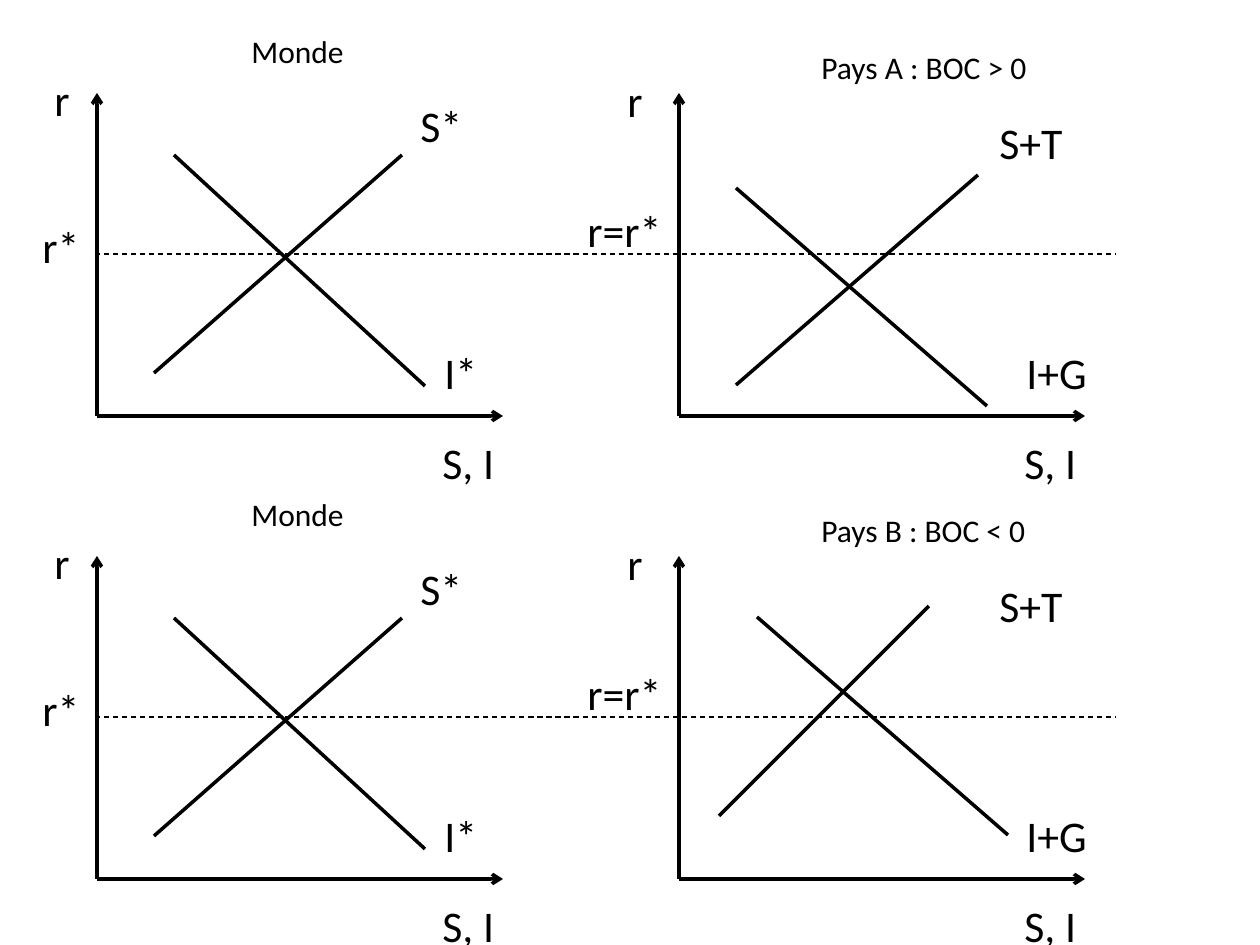
from lxml import etree
from pptx import Presentation
from pptx import util as u
from pptx.dml.color import RGBColor
from pptx.enum import dml, shapes, text
from pptx.oxml.ns import qn

BLACK = RGBColor(0, 0, 0)
PX = 914400 / 126
BIG, SMALL = 25, 18
ROW_STEP = 463      # from the upper pair of graphs to the lower one
COUNTRY_X = 582     # from the world axes to the country axes

# Axes (from, to) and labels (text, left, top, width) in the upper row
AXES = [(97, 416, 97, 93), (97, 416, 503, 416)]
AXIS_LABEL = ("S, I", 430, 430, 78)
RATE_LINE = (95, 254, 1116, 254)
WORLD_CURVES = [(174, 155, 425, 386), (402, 155, 154, 373)]
LABELS = [
    ("S*", 408, 93, 68), ("I*", 432, 340, 58), ("r", 42, 67, 40),
    ("r*", 30, 214, 63), ("S+T", 987, 110, 89), ("I+G", 1014, 340, 87),
    ("r", 615, 68, 40), ("r=r*", 575, 198, 101),
]
WORLD_TITLE = ("Monde", 239, 26, 118)

# One row per country; curves are relative to the row
ROWS = [
    {"title": "Pays A : BOC > 0",
     "curves": [(736, 188, 987, 406), (978, 175, 736, 385)]},
    {"title": "Pays B : BOC < 0",
     "curves": [(757, 154, 1008, 372), (929, 143, 719, 353)]},
]


def px(n):
    return u.Emu(round(n * PX))


def add_line(points, dx, dy, width=2, arrow=False, dash=False):
    x1, y1, x2, y2 = points
    line = s.shapes.add_connector(
        shapes.MSO_CONNECTOR.STRAIGHT,
        px(x1 + dx), px(y1 + dy), px(x2 + dx), px(y2 + dy))
    line.line.color.rgb = BLACK
    line.line.width = u.Pt(width)
    if dash:
        line.line.dash_style = dml.MSO_LINE.DASH
    if arrow:
        etree.SubElement(line.line._get_or_add_ln(), qn("a:tailEnd"), type="arrow")
    etree.SubElement(line._element.spPr, qn("a:effectLst"))


def add_label(label, dx, dy, size=BIG):
    words, x, y, w = label
    h = 65 if size == BIG else 50
    tf = s.shapes.add_textbox(px(x + dx), px(y + dy), px(w), px(h)).text_frame
    tf.word_wrap = False
    tf.auto_size = text.MSO_AUTO_SIZE.SHAPE_TO_FIT_TEXT
    p = tf.paragraphs[0]
    p.text = words
    p.font.name = "Calibri"
    p.font.size = u.Pt(size)
    p.font.color.rgb = BLACK


prs = Presentation()
prs.slide_width, prs.slide_height = u.Inches(10), u.Inches(7.5)
s = prs.slides.add_slide(prs.slide_layouts[6])

for i, row in enumerate(ROWS):
    dy = i * ROW_STEP
    # Axes of both graphs
    for dx in (0, COUNTRY_X):
        for axis in AXES:
            add_line(axis, dx, dy, arrow=True)
        add_label(AXIS_LABEL, dx, dy)
    # Saving and investment curves, world interest rate
    for curve in WORLD_CURVES + row["curves"]:
        add_line(curve, 0, dy)
    add_line(RATE_LINE, 0, dy, width=0.75, dash=True)
    # Titles and labels
    add_label(WORLD_TITLE, 0, dy, SMALL)
    add_label((row["title"], 809, 42, 233), 0, dy, SMALL)
    for label in LABELS:
        add_label(label, 0, dy)

prs.save("out.pptx")
